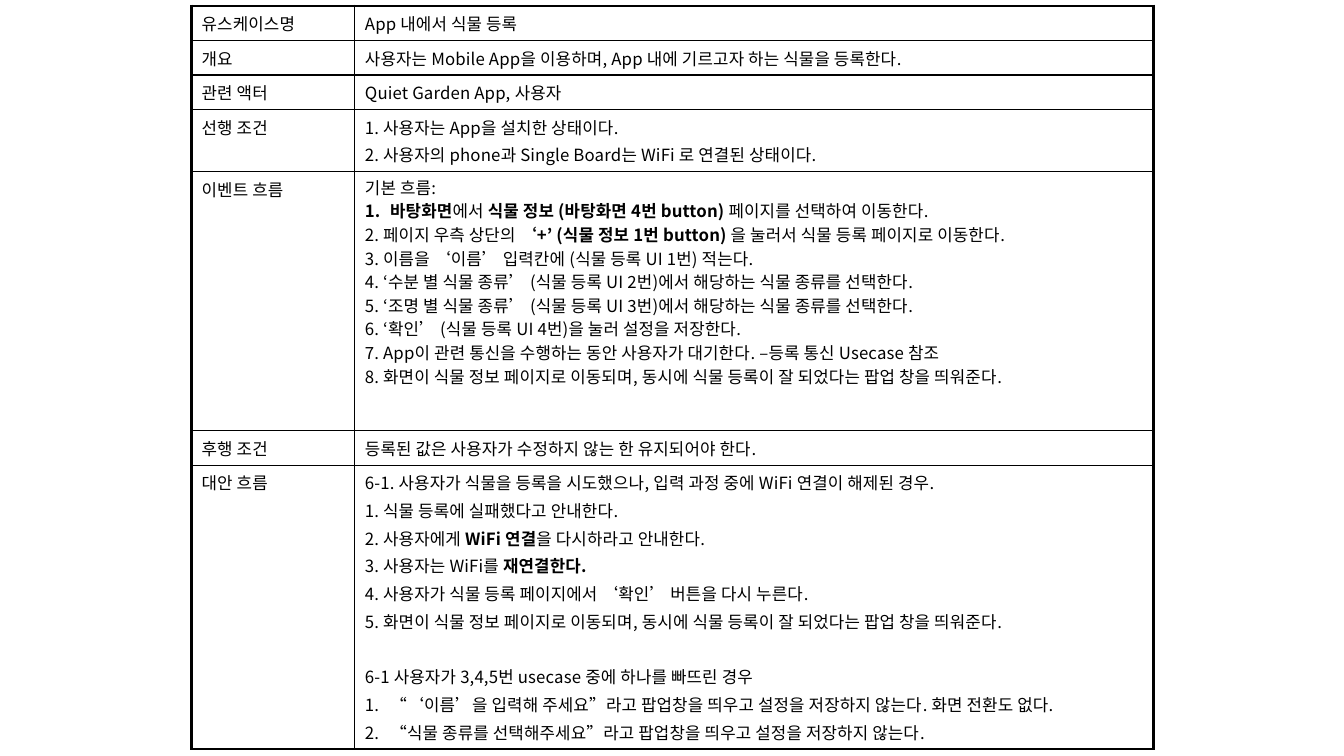
from lxml.etree import SubElement
from pptx import Presentation
from pptx.dml.color import RGBColor
from pptx.enum.text import MSO_ANCHOR, PP_ALIGN
from pptx.oxml import parse_xml
from pptx.oxml.ns import nsdecls, qn
from pptx.util import Inches, Pt

COLORS = {"ink": "000000"}
FONT = "Noto Sans CJK KR"
COLUMN_WIDTHS = (1.62, 7.92)
BOLD_MARK = "**"
NUMBER_MARK = "# "
SECTION_MARK = "^ "

USE_CASE = (
    ("유스케이스명", 0.32, ["App 내에서 식물 등록"]),
    ("개요", 0.32, ["사용자는 Mobile App을 이용하며, App 내에 기르고자 하는 식물을 등록한다."]),
    ("관련 액터", 0.32, ["Quiet Garden App, 사용자"]),
    ("선행 조건", 0.32, [
        "1. 사용자는 App을 설치한 상태이다.",
        "2. 사용자의 phone과 Single Board는 WiFi 로 연결된 상태이다.",
    ]),
    ("이벤트 흐름", 2.57, [
        "기본 흐름:",
        "# **바탕화면**에서 **식물 정보 (바탕화면 4번 button)** 페이지를 선택하여 이동한다.",
        "2. 페이지 우측 상단의 **‘+’ (식물 정보 1번 button)** 을 눌러서 식물 등록 페이지로 이동한다.",
        "3. 이름을 ‘이름’ 입력칸에 (식물 등록 UI 1번) 적는다.",
        "4. ‘수분 별 식물 종류’ (식물 등록 UI 2번)에서 해당하는 식물 종류를 선택한다.",
        "5. ‘조명 별 식물 종류’ (식물 등록 UI 3번)에서 해당하는 식물 종류를 선택한다.",
        "6. ‘확인’ (식물 등록 UI 4번)을 눌러 설정을 저장한다.",
        "7. App이 관련 통신을 수행하는 동안 사용자가 대기한다. –등록 통신 Usecase 참조",
        "8. 화면이 식물 정보 페이지로 이동되며, 동시에 식물 등록이 잘 되었다는 팝업 창을 띄워준다.",
    ]),
    ("후행 조건", 0.32, ["등록된 값은 사용자가 수정하지 않는 한 유지되어야 한다."]),
    ("대안 흐름", 1.42, [
        "6-1. 사용자가 식물을 등록을 시도했으나, 입력 과정 중에 WiFi 연결이 해제된 경우.",
        "1. 식물 등록에 실패했다고 안내한다.",
        "2. 사용자에게 **WiFi 연결**을 다시하라고 안내한다.",
        "3. 사용자는 WiFi를 **재연결한다.**",
        "4. 사용자가 식물 등록 페이지에서 ‘확인’ 버튼을 다시 누른다.",
        "5. 화면이 식물 정보 페이지로 이동되며, 동시에 식물 등록이 잘 되었다는 팝업 창을 띄워준다.",
        "^ 6-1 사용자가 3,4,5번 usecase 중에 하나를 빠뜨린 경우",
        "# “‘이름’을 입력해 주세요”라고 팝업창을 띄우고 설정을 저장하지 않는다. 화면 전환도 없다.",
        "# “식물 종류를 선택해주세요”라고 팝업창을 띄우고 설정을 저장하지 않는다.",
    ]),
)
COMPACT_ROW = "이벤트 흐름"


class UseCaseSlide:
    def __init__(self, presentation):
        self.slide = presentation.slides.add_slide(presentation.slide_layouts[6])
        self.size = Pt(12)
        self.color = RGBColor.from_string(COLORS["ink"])

    def add_run(self, paragraph, text, bold):
        run = paragraph.add_run()
        run.text = text
        run.font.size = self.size
        run.font.name = FONT
        run.font.bold = bold
        run.font.color.rgb = self.color
        properties = run._r.get_or_add_rPr()
        properties.set("spc", "10")
        SubElement(properties, qn("a:ea")).set("typeface", FONT)

    def fill_paragraph(self, paragraph, text, compact):
        paragraph.space_before = Pt(22)
        properties = paragraph._p.get_or_add_pPr()
        if not text.startswith(SECTION_MARK):
            spacing = properties.find(qn("a:spcBef"))
            spacing.remove(spacing[0])
            percent = "10000" if compact else "20000"
            SubElement(spacing, qn("a:spcPct")).set("val", percent)
        if compact:
            paragraph.alignment = PP_ALIGN.JUSTIFY
            paragraph.line_spacing = 0.9
        if text.startswith(NUMBER_MARK):
            properties.set("marL", str(Inches(0.25)))
            properties.set("indent", str(Inches(-0.25)))
            SubElement(properties, qn("a:buAutoNum")).set("type", "arabicPeriod")
        content = text.removeprefix(NUMBER_MARK).removeprefix(SECTION_MARK)
        for index, part in enumerate(content.split(BOLD_MARK)):
            if part:
                self.add_run(paragraph, part, index % 2 == 1)

    def fill_cell(self, cell, lines, compact=False):
        cell.fill.background()
        cell.vertical_anchor = MSO_ANCHOR.TOP
        frame = cell.text_frame
        for index, line in enumerate(lines):
            paragraph = frame.add_paragraph() if index else frame.paragraphs[0]
            self.fill_paragraph(paragraph, line, compact)

    def set_borders(self, cell, outer_sides):
        properties = cell._tc.get_or_add_tcPr()
        for index, side in enumerate("LRTB"):
            width = Pt(2.25 if side in outer_sides else 1)
            properties.insert(index, parse_xml(
                f'<a:ln{side} {nsdecls("a")} w="{width}"><a:solidFill>'
                f'<a:srgbClr val="{COLORS["ink"]}"/></a:solidFill></a:ln{side}>'
            ))

    def add_use_case_table(self, left, top, use_case):
        width = sum(COLUMN_WIDTHS)
        height = sum(row_height for _, row_height, _ in use_case)
        table = self.slide.shapes.add_table(
            len(use_case), len(COLUMN_WIDTHS),
            Inches(left), Inches(top), Inches(width), Inches(height),
        ).table
        table.first_row = False
        table.horz_banding = False
        for column, column_width in zip(table.columns, COLUMN_WIDTHS):
            column.width = Inches(column_width)
        last = len(use_case) - 1
        for index, (label, row_height, lines) in enumerate(use_case):
            table.rows[index].height = Inches(row_height)
            label_cell, content_cell = table.cell(index, 0), table.cell(index, 1)
            self.fill_cell(label_cell, [label])
            self.fill_cell(content_cell, lines, label == COMPACT_ROW)
            edges = ("T" if index == 0 else "") + ("B" if index == last else "")
            self.set_borders(label_cell, "L" + edges)
            self.set_borders(content_cell, "R" + edges)


def main():
    presentation = Presentation()
    presentation.slide_width = Inches(13.33)
    presentation.slide_height = Inches(7.5)
    UseCaseSlide(presentation).add_use_case_table(1.9, 0.06, USE_CASE)
    presentation.save("out.pptx")


if __name__ == "__main__":
    main()
